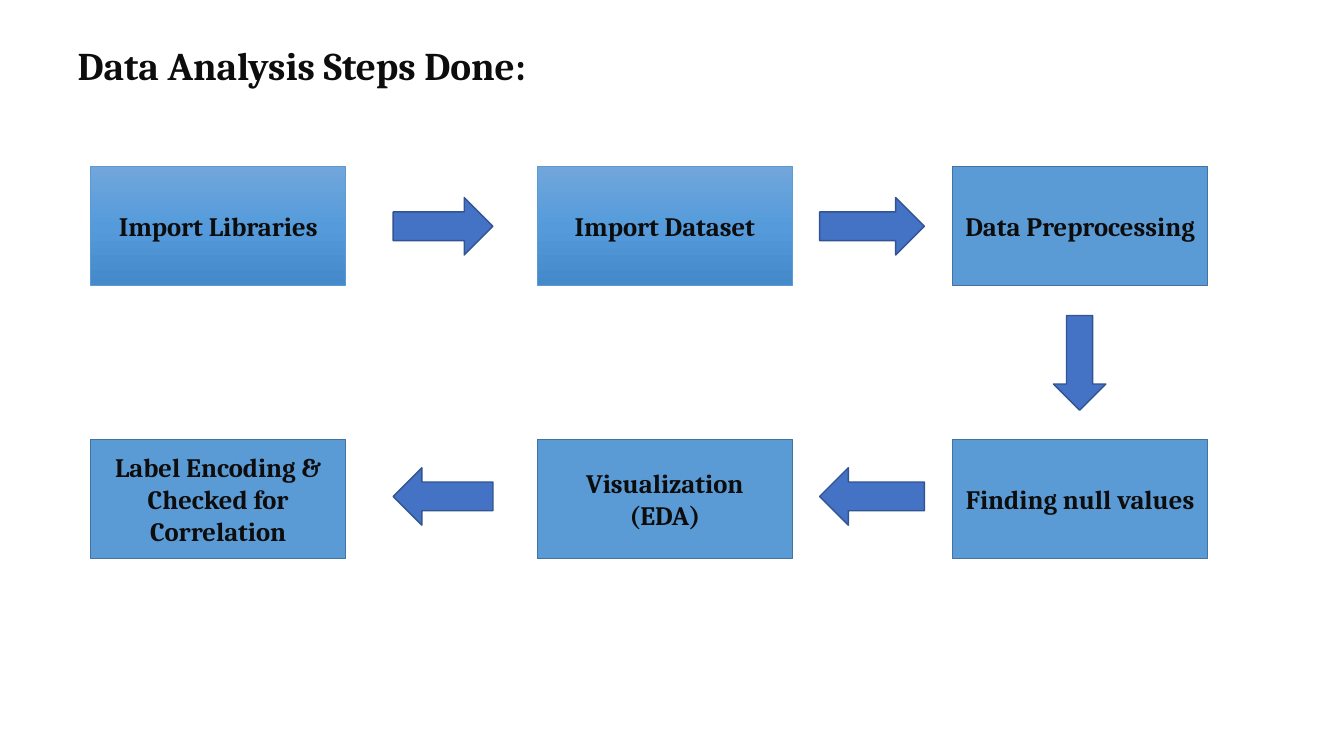
from copy import deepcopy

from pptx import Presentation
from pptx.dml.color import RGBColor
from pptx.enum.shapes import MSO_SHAPE
from pptx.enum.text import MSO_ANCHOR, MSO_AUTO_SIZE, PP_ALIGN
from pptx.oxml.ns import qn
from pptx.util import Inches, Pt

INK = RGBColor(0x0D, 0x0D, 0x0D)
SKY = RGBColor(0x5B, 0x9B, 0xD5)
EDGE = RGBColor(0x43, 0x73, 0x9E)
BLUE = RGBColor(0x44, 0x72, 0xC4)
NAVY = RGBColor(0x32, 0x54, 0x91)
FADE = (RGBColor(0x71, 0xA6, 0xDB), RGBColor(0x55, 0x9B, 0xDB),
        RGBColor(0x44, 0x8A, 0xCA))

# Grid in percent of the slide's width and height
COLS = (6.75, 39.98, 70.88)
ROWS = (22, 58.13)
BOX = (18.98, 15.73)
GAPS = ((29.25, 7.43), (60.98, 7.8))  # left and width of the side arrows
TURNS = ((26.13, MSO_SHAPE.RIGHT_ARROW), (61.87, MSO_SHAPE.LEFT_ARROW))
STEPS = (
    ("Import Libraries", "Import Dataset", "Data Preprocessing"),
    ("Label Encoding & Checked for Correlation", "Visualization\n(EDA)",
     "Finding null values"),
)


class Deck:
    font = "Cambria"

    def __init__(self):
        self.prs = Presentation()
        self.prs.slide_width = Inches(13.33)
        self.prs.slide_height = Inches(7.5)
        self.slide = self.prs.slides.add_slide(self.prs.slide_layouts[5])

    def place(self, x, y, w, h):
        wide, high = self.prs.slide_width, self.prs.slide_height
        return [int(part * size / 100)
                for part, size in ((x, wide), (y, high), (w, wide), (h, high))]

    def label(self, frame, text, size, align, anchor):
        frame.text = text
        frame.word_wrap = True
        frame.auto_size = MSO_AUTO_SIZE.NONE
        frame.vertical_anchor = anchor
        for para in frame.paragraphs:
            para.alignment = align
            font = para.font
            font.name, font.size, font.bold = self.font, Pt(size), True
            font.color.rgb = INK

    def title(self, text, *area):
        head = self.slide.shapes.title
        head.left, head.top, head.width, head.height = self.place(*area)
        self.label(head.text_frame, text, 28, PP_ALIGN.LEFT, MSO_ANCHOR.TOP)

    def shape(self, kind, area, fill, line, width):
        item = self.slide.shapes.add_shape(kind, *self.place(*area))
        item.shadow.inherit = False
        item.fill.solid()
        item.fill.fore_color.rgb = fill
        item.line.color.rgb = line
        item.line.width = Pt(width)
        return item

    def fade(self, item):
        item.fill.gradient()
        item.fill.gradient_angle = 270
        # The default gradient has two stops; add a third
        stops = item._element.spPr.find(qn("a:gradFill")).find(qn("a:gsLst"))
        stops.append(deepcopy(stops[0]))
        for num, (stop, color) in enumerate(zip(item.fill.gradient_stops, FADE)):
            stop.position = num / 2
            stop.color.rgb = color

    def box(self, text, x, y, faded):
        line, width = (SKY, 0.5) if faded else (EDGE, 1)
        item = self.shape(MSO_SHAPE.RECTANGLE, (x, y, *BOX), SKY, line, width)
        if faded:
            self.fade(item)
        self.label(item.text_frame, text, 19, PP_ALIGN.CENTER, MSO_ANCHOR.MIDDLE)

    def arrow(self, kind, *area):
        self.shape(kind, area, BLUE, NAVY, 1)


def main():
    deck = Deck()
    deck.title("Data Analysis Steps Done:", 5.03, 4.8, 52.58, 7.6)

    # Step boxes; the first two are shaded
    for row, (y, names) in enumerate(zip(ROWS, STEPS)):
        for col, (x, name) in enumerate(zip(COLS, names)):
            deck.box(name, x, y, faded=row == 0 and col < 2)

    # Arrows: right along the top, down, then left along the bottom
    for y, kind in TURNS:
        for x, width in GAPS:
            deck.arrow(kind, x, y, width, 7.6)
    deck.arrow(MSO_SHAPE.DOWN_ARROW, 78.38, 41.73, 3.9, 12.53)

    deck.prs.save("out.pptx")


if __name__ == "__main__":
    main()
